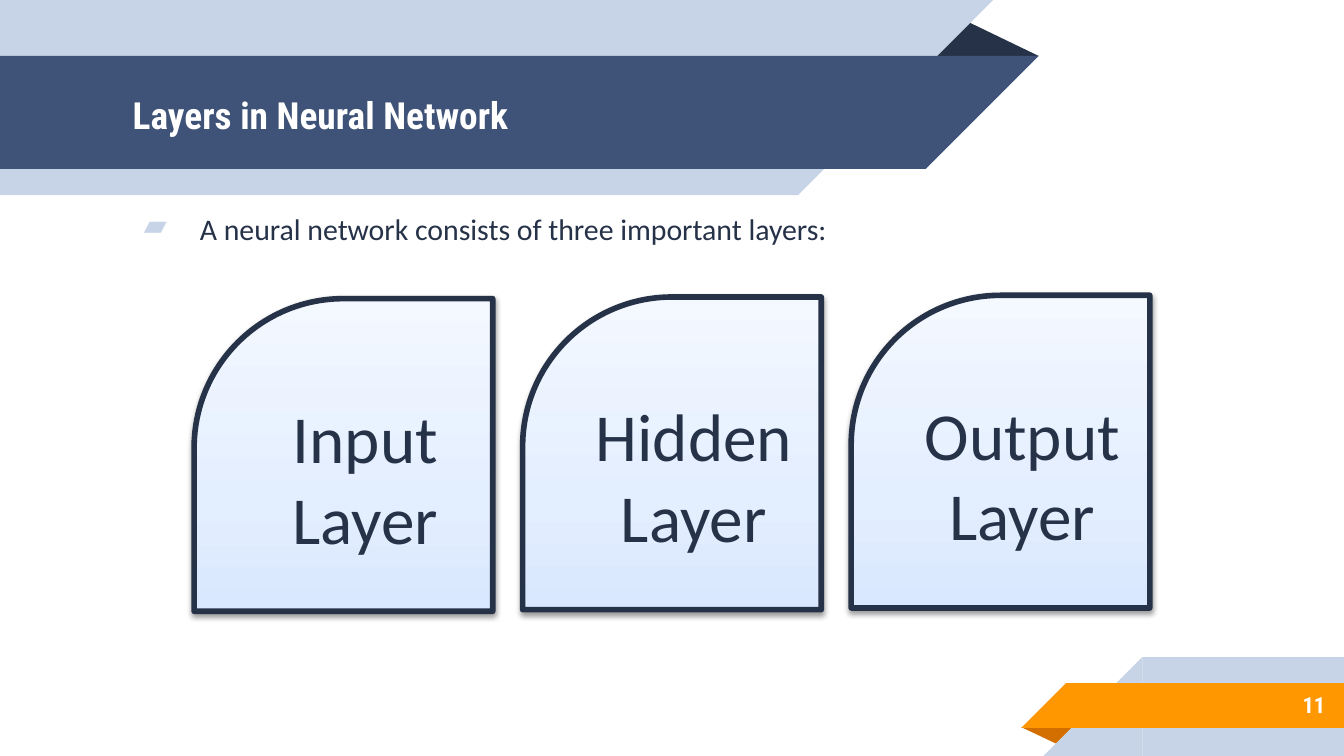
from copy import deepcopy

from lxml.etree import SubElement
from pptx import Presentation
from pptx.dml.color import RGBColor
from pptx.enum.shapes import MSO_SHAPE
from pptx.enum.text import MSO_ANCHOR, PP_ALIGN
from pptx.oxml.ns import qn
from pptx.util import Pt

WHITE = RGBColor(0xFF, 0xFF, 0xFF)
INK = RGBColor(0x26, 0x32, 0x48)
NAVY = RGBColor(0x3F, 0x53, 0x78)
MIST = RGBColor(0xC7, 0xD3, 0xE6)
ORANGE = RGBColor(0xFF, 0x98, 0x00)
RUST = RGBColor(0xD2, 0x6F, 0x00)
CARD_STOPS = [
    (0, RGBColor(0xD9, 0xE7, 0xFF)),
    (0.35, RGBColor(0xE3, 0xEE, 0xFF)),
    (1, RGBColor(0xF4, 0xF8, 0xFF)),
]
HEADING_FONT = "Roboto Condensed"
BODY_FONT = "Calibri"
SLIDE_WIDTH, SLIDE_HEIGHT = 720, 405


class LayerSlide:
    def __init__(self, deck):
        self.slide = deck.slides.add_slide(deck.slide_layouts[6])

    def block(self, preset, left, top, width, height, color, rotation=0):
        block = self.slide.shapes.add_shape(
            preset, Pt(left), Pt(top), Pt(width), Pt(height))
        block.shadow.inherit = False
        block.fill.solid()
        block.fill.fore_color.rgb = color
        block.line.fill.background()
        block.rotation = rotation
        return block

    def fold(self, left, top, width, height, color, rotation=0):
        fold = self.block(MSO_SHAPE.ISOSCELES_TRIANGLE,
                          left, top, width, height, color, rotation)
        fold.adjustments[0] = 0.32

    def left_ribbon(self, top, width, height, color):
        self.block(MSO_SHAPE.RECTANGLE, 0, top, width, height, color)
        self.block(MSO_SHAPE.RIGHT_TRIANGLE,
                   width, top, height, height, color, 90)

    def right_ribbon(self, left, top, height, color):
        self.block(MSO_SHAPE.RECTANGLE,
                   left, top, SLIDE_WIDTH - left, height, color)
        self.block(MSO_SHAPE.RIGHT_TRIANGLE,
                   left - height, top, height, height, color, 270)

    def style(self, paragraph, size, font, color, bold=False):
        for run in paragraph.runs:
            run.font.size = Pt(size)
            run.font.name = font
            run.font.color.rgb = color
            run.font.bold = bold

    def text(self, words, left, top, width, height, size, font, color,
             bold=False, align=PP_ALIGN.LEFT):
        frame = self.slide.shapes.add_textbox(
            Pt(left), Pt(top), Pt(width), Pt(height)).text_frame
        frame.word_wrap = True
        frame.vertical_anchor = MSO_ANCHOR.MIDDLE
        frame.margin_left = frame.margin_right = Pt(7.2)
        frame.margin_top = frame.margin_bottom = Pt(7.2)
        frame.text = words
        paragraph = frame.paragraphs[0]
        paragraph.alignment = align
        self.style(paragraph, size, font, color, bold)
        return paragraph

    def bullet(self, words, left, top, width, height):
        paragraph = self.text(words, left, top, width, height,
                              16, BODY_FONT, INK)
        properties = paragraph._p.get_or_add_pPr()
        properties.set("marL", str(Pt(36)))
        properties.set("indent", str(Pt(-30)))
        marker_color = SubElement(properties, qn("a:buClr"))
        SubElement(marker_color, qn("a:srgbClr"), val=str(MIST))
        SubElement(properties, qn("a:buChar"), char="▰")

    def card(self, words, left, top, width, height):
        card = self.block(MSO_SHAPE.SNIP_ROUND_RECTANGLE,
                          left, top, width, height, WHITE)
        card.adjustments[0] = 0.5
        card.adjustments[1] = 0
        card.line.color.rgb = INK
        card.line.width = Pt(3)
        self.card_gradient(card)
        self.card_shadow(card)
        frame = card.text_frame
        frame.word_wrap = True
        frame.vertical_anchor = MSO_ANCHOR.MIDDLE
        frame.text = words
        frame.paragraphs[0].alignment = PP_ALIGN.CENTER
        self.style(frame.paragraphs[0], 36, BODY_FONT, INK)

    def card_gradient(self, card):
        card.fill.gradient()
        card.fill.gradient_angle = 90
        stop_list = card._element.spPr.find(".//" + qn("a:gsLst"))
        stop_list.append(deepcopy(stop_list[0]))
        for stop, (position, color) in zip(card.fill.gradient_stops, CARD_STOPS):
            stop.position = position
            stop.color.rgb = color

    def card_shadow(self, card):
        effects = card._element.spPr.find(qn("a:effectLst"))
        shadow = SubElement(effects, qn("a:outerShdw"), blurRad=str(Pt(3.1)),
                            dist=str(Pt(1.6)), dir="5400000", rotWithShape="0")
        tint = SubElement(shadow, qn("a:srgbClr"), val="000000")
        SubElement(tint, qn("a:alpha"), val="38000")


def main():
    deck = Presentation()
    deck.slide_width, deck.slide_height = Pt(SLIDE_WIDTH), Pt(SLIDE_HEIGHT)
    page = LayerSlide(deck)

    page.fold(547, 389.5, 31, 10, RUST, 180)
    page.right_ribbon(612, 352, 53, MIST)
    page.right_ribbon(571, 366, 24, ORANGE)

    page.fold(495.5, 10, 61, 20, INK)
    page.left_ribbon(0, 427.5, 104.5, MIST)
    page.left_ribbon(30, 496, 60.5, NAVY)

    page.text("Layers in Neural Network", 64, 31, 433, 60.5,
              20, HEADING_FONT, WHITE, bold=True)
    page.bullet("A neural network consists of three important layers:",
                64, 104.5, 483, 36)
    page.text("11", 600, 365, 117, 25, 12, HEADING_FONT, WHITE,
              bold=True, align=PP_ALIGN.RIGHT)

    for index, layer in enumerate(("Input", "Hidden", "Output")):
        page.card(f"{layer} Layer", 104 + 176 * index, 160 - 0.9 * index,
                  160, 167.5)

    deck.save("out.pptx")


if __name__ == "__main__":
    main()
